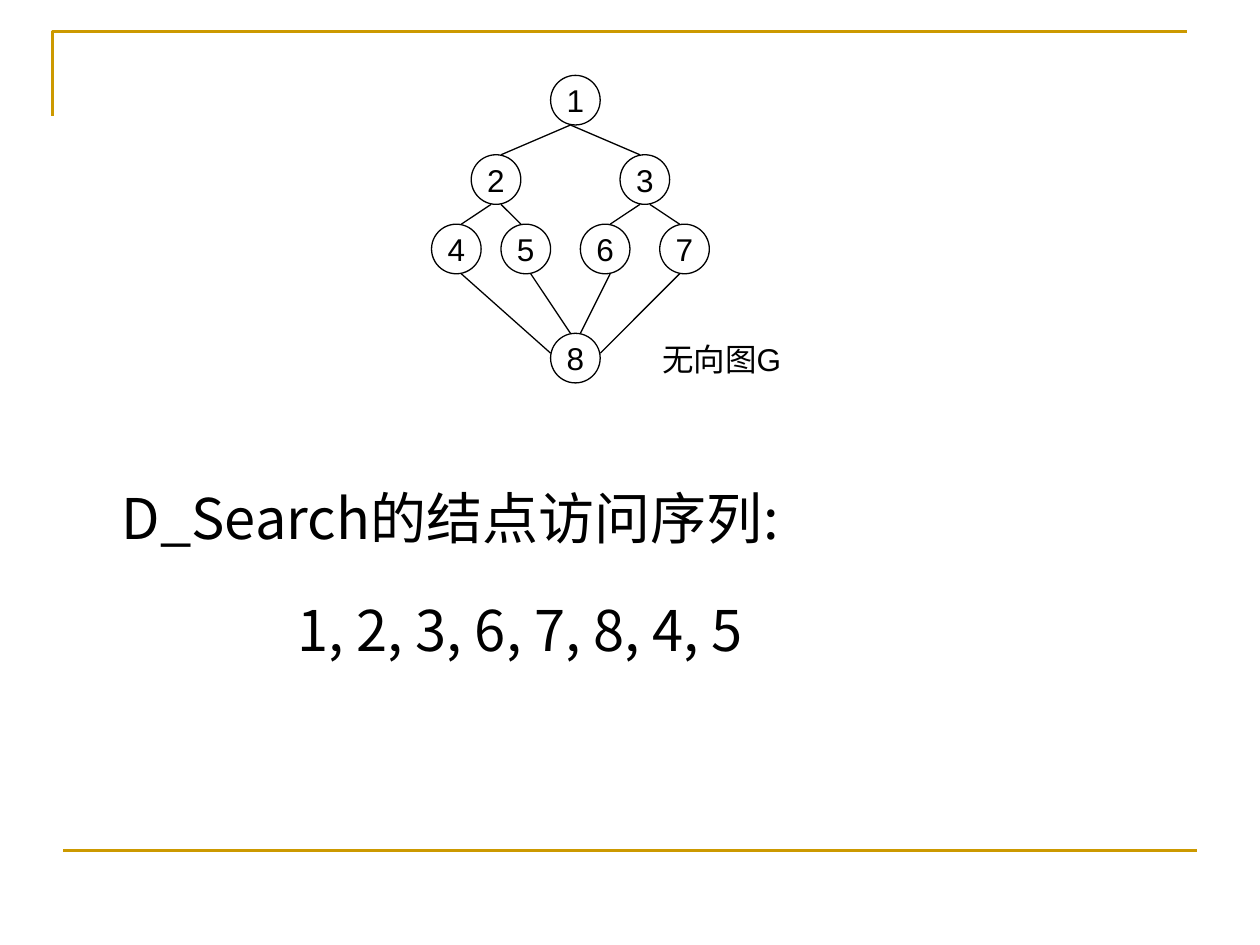
from lxml.etree import SubElement
from pptx import Presentation
from pptx.dml.color import RGBColor
from pptx.enum.shapes import MSO_CONNECTOR, MSO_SHAPE
from pptx.enum.text import MSO_ANCHOR, MSO_AUTO_SIZE, PP_ALIGN
from pptx.oxml.ns import qn
from pptx.util import Cm, Pt

BLACK = RGBColor(0x00, 0x00, 0x00)
GOLD = RGBColor(0xCC, 0x99, 0x00)
LATIN = "Arial"
CJK = "Noto Sans CJK SC"
DIAMETER = 1
NODES = {
    "1": (11.1, 1.52),
    "2": (9.5, 3.12), "3": (12.5, 3.12),
    "4": (8.7, 4.52), "5": (10.1, 4.52), "6": (11.7, 4.52), "7": (13.3, 4.52),
    "8": (11.1, 6.72),
}
BOTTOM_LEFT, BOTTOM_RIGHT = (0.4, 1), (0.6, 1)
TOP_LEFT, TOP_RIGHT = (0.4, 0), (0.6, 0)
LEFT_SIDE, RIGHT_SIDE = (0, 0.4), (1, 0.4)
EDGES = [
    ("1", BOTTOM_LEFT, "2", TOP_RIGHT),
    ("1", BOTTOM_LEFT, "3", TOP_LEFT),
    ("2", BOTTOM_LEFT, "4", TOP_RIGHT),
    ("2", BOTTOM_RIGHT, "5", TOP_LEFT),
    ("3", BOTTOM_LEFT, "6", TOP_RIGHT),
    ("3", BOTTOM_RIGHT, "7", TOP_LEFT),
    ("4", BOTTOM_RIGHT, "8", LEFT_SIDE),
    ("5", BOTTOM_RIGHT, "8", TOP_LEFT),
    ("6", BOTTOM_RIGHT, "8", TOP_RIGHT),
    ("7", BOTTOM_LEFT, "8", RIGHT_SIDE),
]


class GraphSlide:
    def __init__(self, slide):
        self.slide = slide
        self.graph = slide.shapes.add_group_shape()

    def format_runs(self, paragraph, size, latin):
        for run in paragraph.runs:
            run.font.size = Pt(size)
            run.font.name = latin
            run.font.color.rgb = BLACK
            SubElement(run.font._element, qn("a:ea")).set("typeface", CJK)

    def line(self, shapes, start, end, color, width):
        connector = shapes.add_connector(
            MSO_CONNECTOR.STRAIGHT, *(Cm(v) for v in (*start, *end)))
        connector.line.color.rgb = color
        connector.line.width = Pt(width)
        SubElement(connector._element.spPr, qn("a:effectLst"))

    def corner(self, points):
        start, *rest = [(Cm(x), Cm(y)) for x, y in points]
        builder = self.slide.shapes.build_freeform(*start)
        builder.add_line_segments(rest, close=False)
        frame = builder.convert_to_shape()
        frame.shadow.inherit = False
        frame.fill.background()
        frame.line.color.rgb = GOLD
        frame.line.width = Pt(1.5)

    def node(self, number, position):
        circle = self.graph.shapes.add_shape(
            MSO_SHAPE.OVAL, *(Cm(v) for v in (*position, DIAMETER, DIAMETER)))
        circle.shadow.inherit = False
        circle.fill.background()
        circle.line.color.rgb = BLACK
        circle.line.width = Pt(0.75)
        content = circle.text_frame
        content.text = number
        content.word_wrap = False
        content.vertical_anchor = MSO_ANCHOR.MIDDLE
        content.paragraphs[0].alignment = PP_ALIGN.CENTER
        self.format_runs(content.paragraphs[0], 18, LATIN)

    def edge(self, source, exit_point, target, entry_point):
        start, end = (
            [DIAMETER * offset + origin for offset, origin in zip(point, NODES[name])]
            for name, point in ((source, exit_point), (target, entry_point)))
        self.line(self.graph.shapes, start, end, BLACK, 0.75)

    def label(self, text, left, top, width, height):
        caption = self.graph.shapes.add_textbox(
            *(Cm(v) for v in (left, top, width, height))).text_frame
        caption.word_wrap = True
        caption.text = text
        self.format_runs(caption.paragraphs[0], 18, LATIN)

    def body(self, lines, left, top, width, height):
        sequence = self.slide.placeholders[1]
        sequence.left, sequence.top = Cm(left), Cm(top)
        sequence.width, sequence.height = Cm(width), Cm(height)
        content = sequence.text_frame
        content.auto_size = MSO_AUTO_SIZE.NONE
        content.text = "\n".join(text for text, _ in lines)
        for position, (paragraph, (_, indent)) in enumerate(zip(content.paragraphs, lines)):
            paragraph.line_spacing = 1.5
            paragraph.space_before = Pt(6.4 if position else 0)
            properties = paragraph._p.get_or_add_pPr()
            properties.set("marL", str(Cm(indent)))
            properties.set("indent", "0")
            SubElement(properties, qn("a:buNone"))
            self.format_runs(paragraph, 32, CJK)


def main():
    deck = Presentation()
    deck.slide_width, deck.slide_height = Cm(25.4), Cm(19.05)
    slide = deck.slides.add_slide(deck.slide_layouts[1])
    title = slide.shapes.title._element
    title.getparent().remove(title)

    page = GraphSlide(slide)
    page.corner([(1.06, 2.33), (1.06, 0.63), (23.92, 0.63)])
    page.line(slide.shapes, (1.27, 17.15), (24.13, 17.15), GOLD, 1.5)
    page.body([("D_Search的结点访问序列:", 0), ("1, 2, 3, 6, 7, 8, 4, 5", 3.54)],
              2.2, 8.94, 22.2, 6.1)
    for number, position in NODES.items():
        page.node(number, position)
    for edge in EDGES:
        page.edge(*edge)
    page.label("无向图G", 13.1, 6.72, 3.4, 1.02)
    deck.save("out.pptx")


if __name__ == "__main__":
    main()
